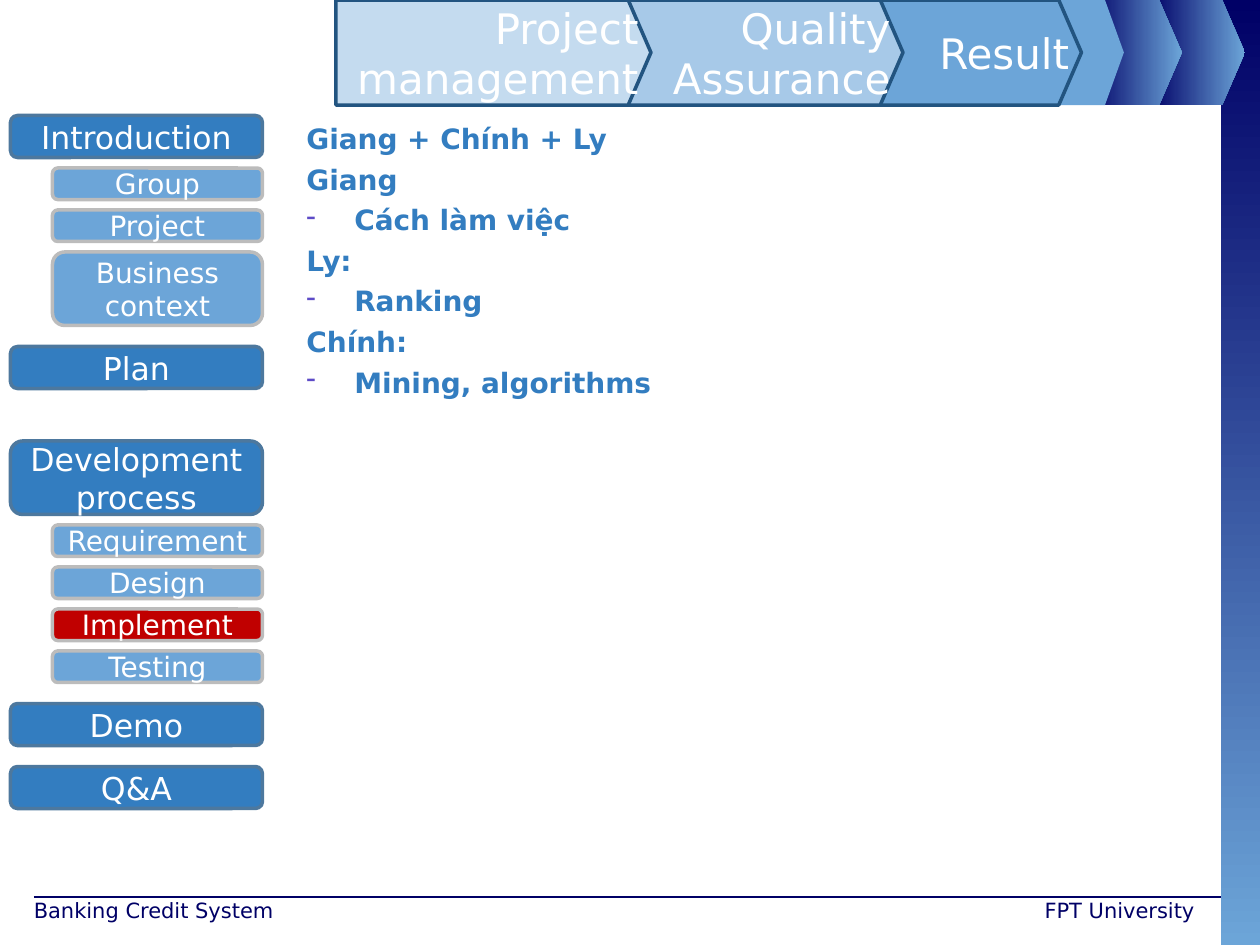
import pptx
import pptx.dml.color
import pptx.enum.shapes
import pptx.enum.text
import pptx.oxml.ns
import pptx.util
from lxml import etree

FONT = "DejaVu Sans"
WHITE, NAVY, SKY, BLUE, RED = "FFFFFF", "000066", "6CA5D8", "337DC0", "C00000"
ALIGN = pptx.enum.text.PP_ALIGN
ANCHOR = pptx.enum.text.MSO_ANCHOR
SHAPE = pptx.enum.shapes.MSO_SHAPE
inch = pptx.util.Inches

# Navigation entries: label, top row, height in rows
SECTIONS = [("Introduction", 11, 4), ("Plan", 33, 4), ("Development process", 42, 7),
            ("Demo", 67, 4), ("Q&A", 73, 4)]
TOPICS = [("Group", 16, 3), ("Project", 20, 3), ("Business context", 24, 7),
          ("Requirement", 50, 3), ("Design", 54, 3), ("Implement", 58, 3), ("Testing", 62, 3)]
CURRENT_TOPIC = "Implement"

# Steps from back to front: label, left column, width in columns, fill
STEPS = [("Result", 72, 31, SKY), ("Quality Assurance", 55, 31, "A7C9E8"),
         ("Project management", 32, 30, "C4DBEF")]

# Work split: text, is it a bullet
WORK = [("Giang + Chính + Ly", False), ("Giang", False), ("Cách làm việc", True),
        ("Ly:", False), ("Ranking", True), ("Chính:", False), ("Mining, algorithms", True)]


def cells(count):
    """Length of a number of grid cells, twelve to the inch."""
    return inch(count / 12)


def color(hex_code):
    return pptx.dml.color.RGBColor.from_string(hex_code)


def write(paragraph, text, size, ink, align=ALIGN.LEFT, bold=False):
    paragraph.alignment = align
    run = paragraph.add_run()
    run.text = text
    run.font.name = FONT
    run.font.size = pptx.util.Pt(size)
    run.font.bold = bold
    run.font.color.rgb = color(ink)


def paint(shape, fill, outline=None):
    shape.shadow.inherit = False
    shape.fill.solid()
    shape.fill.fore_color.rgb = color(fill)
    if outline:
        shape.line.color.rgb = color(outline)
        shape.line.width = pptx.util.Pt(2)
    else:
        shape.line.fill.background()


def paint_gradient(shape, angle):
    shape.shadow.inherit = False
    shape.line.fill.background()
    shape.fill.gradient()
    shape.fill.gradient_angle = angle
    for stop, hex_code in zip(shape.fill.gradient_stops, (NAVY, SKY)):
        stop.color.rgb = color(hex_code)


def label(shape, text, size, align):
    frame = shape.text_frame
    frame.word_wrap = True
    frame.vertical_anchor = ANCHOR.MIDDLE
    write(frame.paragraphs[0], text, size, WHITE, align)


def add_pointer(slide, left, width, tip):
    """Block with a point of the given length on its right, all in inches."""
    height, right = 10 / 12, left + width
    builder = slide.shapes.build_freeform(inch(left), 0)
    corners = [(right - tip, 0), (right, height / 2), (right - tip, height), (left, height)]
    builder.add_line_segments([(inch(x), inch(y)) for x, y in corners], close=True)
    return builder.convert_to_shape()


def add_backdrop(slide, width, height):
    bar_left = width * 0.969
    bar = slide.shapes.add_shape(SHAPE.RECTANGLE, int(bar_left), 0,
                                 int(width - bar_left), height)
    paint_gradient(bar, 270)
    for left in (9.13, 8.63):
        paint_gradient(add_pointer(slide, left, 0.75, 0.18), 0)
    paint(add_pointer(slide, 8.31, 0.61, 0.15), SKY)

    rule = slide.shapes.add_connector(pptx.enum.shapes.MSO_CONNECTOR.STRAIGHT,
                                      inch(0.27), inch(7.12), int(bar_left), inch(7.12))
    rule.line.color.rgb = color(NAVY)
    rule.line.width = pptx.util.Pt(0.75)
    etree.SubElement(rule._element.spPr, pptx.oxml.ns.qn("a:effectLst"))


def add_footer(slide, text, left, width, align):
    box = slide.shapes.add_textbox(inch(left), inch(7.07), inch(width), inch(0.35))
    box.text_frame.word_wrap = True
    write(box.text_frame.paragraphs[0], text, 12, NAVY, align)


def add_steps(slide):
    for text, column, columns, fill in STEPS:
        step = add_pointer(slide, column / 12, columns / 12, 0.18)
        paint(step, fill, "225480")
        label(step, text, 24, ALIGN.RIGHT)


def add_nav_button(slide, text, column, row, columns, rows, fill, outline, size):
    button = slide.shapes.add_shape(SHAPE.ROUNDED_RECTANGLE, cells(column), cells(row),
                                    cells(columns), cells(rows))
    paint(button, fill, outline)
    label(button, text, size, ALIGN.CENTER)


def add_navigation(slide):
    for text, row, rows in SECTIONS:
        add_nav_button(slide, text, 1, row, 24, rows, BLUE, "4D789E", 18)
    for text, row, rows in TOPICS:
        fill = RED if text == CURRENT_TOPIC else SKY
        add_nav_button(slide, text, 5, row, 20, rows, fill, "BCBCBC", 16)


def hang(paragraph, bullet):
    """Hanging indent, with a dash in front of a bullet."""
    qn = pptx.oxml.ns.qn
    properties = paragraph._p.get_or_add_pPr()
    properties.set("marL", str(inch(0.38)))
    properties.set("indent", str(-inch(0.38)))
    if bullet:
        tint = etree.SubElement(properties, qn("a:buClr"))
        etree.SubElement(tint, qn("a:srgbClr"), val="5D4BC7")
        etree.SubElement(properties, qn("a:buChar"), char="-")
    else:
        etree.SubElement(properties, qn("a:buNone"))


def add_work_split(slide):
    box = slide.shapes.add_textbox(cells(28), cells(11), cells(86), cells(61))
    frame = box.text_frame
    frame.word_wrap = True
    for index, (text, bullet) in enumerate(WORK):
        paragraph = frame.add_paragraph() if index else frame.paragraphs[0]
        hang(paragraph, bullet)
        if index:
            paragraph.space_before = pptx.util.Pt(4)
        write(paragraph, text, 16, BLUE, bold=True)


def main():
    deck = pptx.Presentation()
    deck.slide_width, deck.slide_height = inch(10), inch(7.5)
    slide = deck.slides.add_slide(deck.slide_layouts[6])
    add_backdrop(slide, deck.slide_width, deck.slide_height)
    add_footer(slide, "Banking Credit System", 0.17, 2.33, ALIGN.LEFT)
    add_footer(slide, "FPT University", 6.41, 3.17, ALIGN.RIGHT)
    add_steps(slide)
    add_work_split(slide)
    add_navigation(slide)
    deck.save("out.pptx")


if __name__ == "__main__":
    main()
